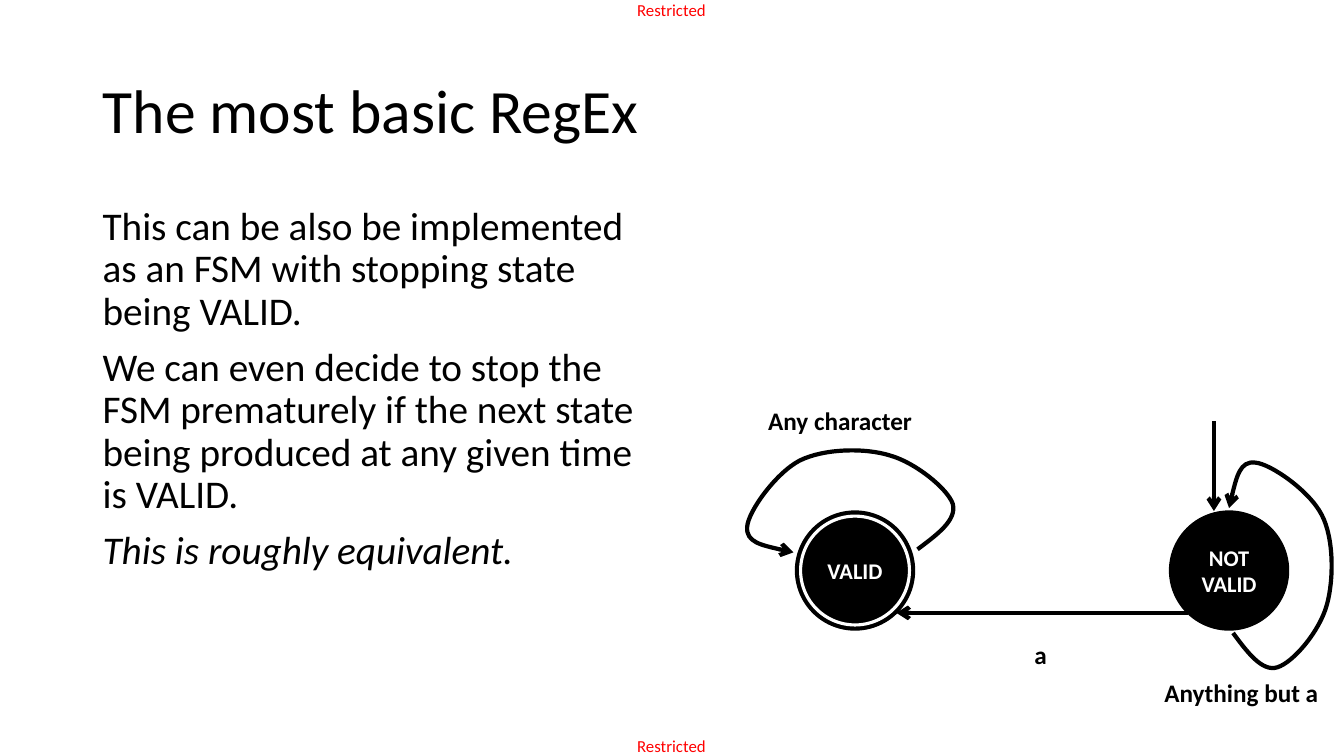
from dataclasses import dataclass

from lxml.etree import SubElement
from pptx import Presentation
from pptx.dml.color import RGBColor
from pptx.enum.shapes import MSO_CONNECTOR, MSO_SHAPE
from pptx.enum.text import MSO_ANCHOR, PP_ALIGN
from pptx.oxml.ns import qn
from pptx.util import Inches, Pt

COLORS = {"ink": "000000", "paper": "FFFFFF", "mark": "FF0000"}
FONT = "Calibri"
STATE_Y = 5.66  # shared centre line of the states

Point = tuple[float, float]


@dataclass
class Label:
    text: str
    box: tuple[float, float, float, float]
    size: int = 18
    bold: bool = True
    color: str = "ink"
    inset: bool = True


@dataclass
class State:
    text: str
    x: float
    diameter: float
    outline: str
    weight: float


LABELS = [
    Label("Restricted", (6.32, 0, 0.73, 0.2), 12, False, "mark", False),
    Label("Restricted", (6.32, 7.3, 0.73, 0.2), 12, False, "mark", False),
    Label("a", (10.16, 6.29, 0.61, 0.4)),
    Label("Any character", (7.52, 3.97, 2, 0.4)),
    Label("Anything but a", (11.45, 6.67, 1.85, 0.4)),
]
STATES = [
    State("", 8.48, 1.18, "ink", 1),
    State("VALID", 8.48, 1.08, "paper", 2.25),
    State("NOT VALID", 12.19, 1.18, "ink", 1),
]
ARROWS = [((12.04, 4.18), (12.04, 5.07)), ((11.78, 6.08), (8.89, 6.08))]
# Each loop: a start point, then three Bézier points per segment
LOOPS = [
    [(12.23, 6.28), (12.37, 6.47), (12.52, 6.67), (12.67, 6.62),
     (12.83, 6.57), (13.09, 6.26), (13.16, 6), (13.23, 5.75), (13.23, 5.34),
     (13.11, 5.11), (12.99, 4.87), (12.6, 4.6), (12.45, 4.59),
     (12.3, 4.57), (12.24, 4.81), (12.19, 5.04)],
    [(9.1, 5.45), (9.3, 5.3), (9.49, 5.16), (9.45, 5), (9.4, 4.85),
     (9.08, 4.59), (8.83, 4.52), (8.58, 4.44), (8.17, 4.45), (7.93, 4.57),
     (7.7, 4.69), (7.42, 5.07), (7.41, 5.23), (7.4, 5.38), (7.63, 5.43),
     (7.87, 5.48)],
]
BODY = [
    ("This can be also be implemented as an FSM with stopping state "
     "being VALID.", False),
    ("We can even decide to stop the FSM prematurely if the next state "
     "being produced at any given time is VALID.", False),
    ("This is roughly equivalent.", True),
]


def rgb(name: str) -> RGBColor:
    return RGBColor.from_string(COLORS[name])


def style(p, size: int, color: str = "ink", **formats) -> None:
    values = {"name": FONT, "size": Pt(size), **formats}
    for key, value in values.items():
        setattr(p.font, key, value)
    p.font.color.rgb = rgb(color)


def clear_insets(tf) -> None:
    for side in ("left", "top", "right", "bottom"):
        setattr(tf, f"margin_{side}", 0)


def add_title(slide, text: str) -> None:
    sp = slide.shapes.title
    box = {"left": 0.92, "top": 0.4, "width": 11.5, "height": 1.45}
    for key, value in box.items():
        setattr(sp, key, Inches(value))
    tf = sp.text_frame
    tf.text = text
    tf.vertical_anchor = MSO_ANCHOR.MIDDLE
    p = tf.paragraphs[0]
    p.alignment, p.line_spacing = PP_ALIGN.LEFT, 0.9
    style(p, 44)


def add_body(slide) -> None:
    tf = slide.shapes.add_textbox(*map(Inches, (0.92, 2, 5.67, 5.5))).text_frame
    tf.word_wrap = True
    for i, (text, italic) in enumerate(BODY):
        p = tf.add_paragraph() if i else tf.paragraphs[0]
        p.text = text
        p.line_spacing = 0.9
        if i:
            p.space_before = Pt(10)
        style(p, 28, italic=italic)


def add_label(slide, label: Label) -> None:
    tf = slide.shapes.add_textbox(*map(Inches, label.box)).text_frame
    tf.word_wrap = label.inset
    if not label.inset:
        clear_insets(tf)
    p = tf.paragraphs[0]
    p.text = label.text
    style(p, label.size, label.color, bold=label.bold)


def add_state(slide, state: State) -> None:
    d = state.diameter
    box = (state.x - d / 2, STATE_Y - d / 2, d, d)
    sp = slide.shapes.add_shape(MSO_SHAPE.OVAL, *map(Inches, box))
    sp.shadow.inherit = False
    sp.fill.solid()
    sp.fill.fore_color.rgb = rgb("ink")
    sp.line.color.rgb = rgb(state.outline)
    sp.line.width = Pt(state.weight)
    if state.text:
        tf = sp.text_frame
        tf.word_wrap = True
        tf.vertical_anchor = MSO_ANCHOR.MIDDLE
        clear_insets(tf)
        p = tf.paragraphs[0]
        p.text, p.alignment = state.text, PP_ALIGN.CENTER
        style(p, 16, "paper", bold=True)


def draw_arrow_line(sp) -> None:
    sp.line.color.rgb = rgb("ink")
    sp.line.width = Pt(3)
    SubElement(sp.line._get_or_add_ln(), qn("a:tailEnd"), type="arrow")


def add_arrow(slide, start: Point, end: Point) -> None:
    sp = slide.shapes.add_connector(MSO_CONNECTOR.STRAIGHT,
                                    *map(Inches, start + end))
    draw_arrow_line(sp)
    SubElement(sp._element.spPr, qn("a:effectLst"))


def add_loop(slide, points: list[Point]) -> None:
    """Build a polyline, then turn every three points into one curve."""
    start, *rest = [(Inches(x), Inches(y)) for x, y in points]
    builder = slide.shapes.build_freeform(*start)
    builder.add_line_segments(rest, close=False)
    sp = builder.convert_to_shape()
    sp.shadow.inherit = False
    sp.fill.background()
    draw_arrow_line(sp)
    outline = next(sp._element.iter(qn("a:path")))
    lines = outline.findall(qn("a:lnTo"))
    for i in range(0, len(lines), 3):
        curve = SubElement(outline, qn("a:cubicBezTo"))
        for line in lines[i:i + 3]:
            curve.append(line[0])
            outline.remove(line)


def main() -> None:
    prs = Presentation()
    prs.slide_width, prs.slide_height = Inches(13.33), Inches(7.5)
    slide = prs.slides.add_slide(prs.slide_layouts[5])
    add_title(slide, "The most basic RegEx")
    add_body(slide)
    for state in STATES:
        add_state(slide, state)
    for start, end in ARROWS:
        add_arrow(slide, start, end)
    for points in LOOPS:
        add_loop(slide, points)
    for label in LABELS:
        add_label(slide, label)
    prs.save("out.pptx")


if __name__ == "__main__":
    main()
